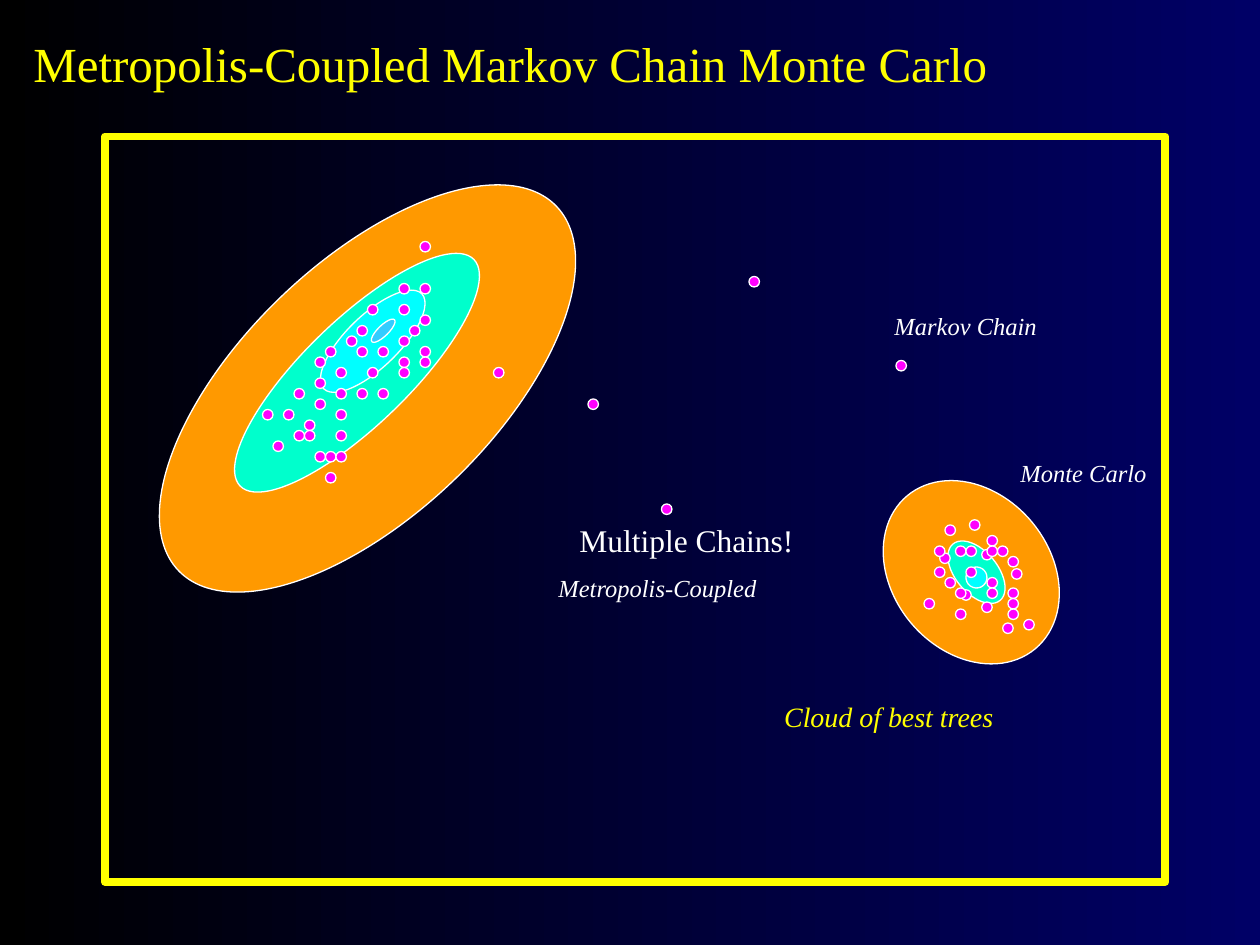
"""Build the slide on Metropolis-coupled Markov chain Monte Carlo."""
from pptx import Presentation
from pptx.dml.color import RGBColor
from pptx.enum.shapes import MSO_SHAPE as Kind
from pptx.enum.text import MSO_ANCHOR as Anchor, MSO_AUTO_SIZE as Auto
from pptx.util import Pt


def tint(color, code):
    color.rgb = RGBColor.from_string(code)


def draw(kind, box, fill, line, width, turn=0):
    shape = slide.shapes.add_shape(kind, *map(Pt, box))
    shape.shadow.inherit = False
    shape.rotation = turn
    if fill:
        shape.fill.solid()
        tint(shape.fill.fore_color, fill)
    else:
        shape.fill.background()
    tint(shape.line.color, line)
    shape.line.width = Pt(width)


deck = Presentation()
deck.slide_width, deck.slide_height = Pt(720), Pt(540)
slide = deck.slides.add_slide(deck.slide_layouts[6])

back = slide.background.fill
back.gradient()
back.gradient_angle = 0
for stop, code in zip(back.gradient_stops, ("000000", "000066")):
    tint(stop.color, code)

draw(Kind.RECTANGLE, (60, 78, 606, 426), None, "FFFF00", 4.5)

rings = [
    ((138, 72, 144, 300), "FF9900", 46),
    ((174, 120, 60, 186), "00FFCC", 45.9),
    ((198, 156, 30, 78), "00FFFF", 45.9),
    ((216, 180, 6, 18), "33CCFF", 45.7),
    ((510, 270, 90, 114), "FF9900", 320),
    ((546, 306, 24, 42), "00FFCC", 320),
    ((552, 324, 12, 12), "00FFFF", 320),
]
for box, fill, turn in rings:
    draw(Kind.OVAL, box, fill, "FFFFFF", 0.75, turn)

step = 6
loose = [
    (554, 297), (561, 314), (537, 316), (578, 325), (561, 344),
    (428, 158), (549, 337), (573, 356), (585, 354), (512, 206),
]
right = {
    50: [90], 51: [94], 52: [89, 91, 92, 94, 95], 53: [96],
    54: [89, 92], 55: [90, 94], 56: [91, 94, 96], 57: [88, 96],
    58: [91, 96],
}
left = {
    23: [40], 27: [38, 40], 29: [35, 38], 30: [40], 31: [34, 39],
    32: [33, 38], 33: [31, 34, 36, 40], 34: [30, 38, 40],
    35: [32, 35, 38, 47], 36: [30], 37: [28, 32, 34, 36],
    38: [30, 56], 39: [25, 27, 32], 40: [29], 41: [28, 29, 32],
    42: [26], 43: [30, 31, 32], 45: [31], 48: [63],
}
dots = loose + [
    (col * step, row * step)
    for cloud in (right, left)
    for row, cols in cloud.items()
    for col in cols
]
for x, y in dots:
    draw(Kind.OVAL, (x, y, step, step), "FF00FF", "FFFFFF", 0.75)

labels = [
    ("Metropolis-Coupled Markov Chain Monte Carlo", (12, 6, 612, 60), 28, "FFFF00", False),
    ("Cloud of best trees", (441, 396, 135, 26.5), 16, "FFFF00", True),
    ("Multiple Chains!", (324, 294, 144, 29), 18, "FFFFFF", False),
    ("Monte Carlo", (576, 258, 96, 24.5), 14, "FFFFFF", True),
    ("Markov Chain", (504, 174, 96, 24.5), 14, "FFFFFF", True),
    ("Metropolis-Coupled", (312, 324, 132, 24.5), 14, "FFFFFF", True),
]
for words, box, size, code, slant in labels:
    frame = slide.shapes.add_textbox(*map(Pt, box)).text_frame
    title = size == 28
    frame.word_wrap = size != 16
    frame.auto_size = Auto.NONE if title else Auto.SHAPE_TO_FIT_TEXT
    frame.vertical_anchor = Anchor.MIDDLE if title else Anchor.TOP
    run = frame.paragraphs[0].add_run()
    run.text = words
    run.font.name = "Times New Roman"
    run.font.size = Pt(size)
    run.font.italic = slant
    tint(run.font.color, code)

deck.save("out.pptx")
